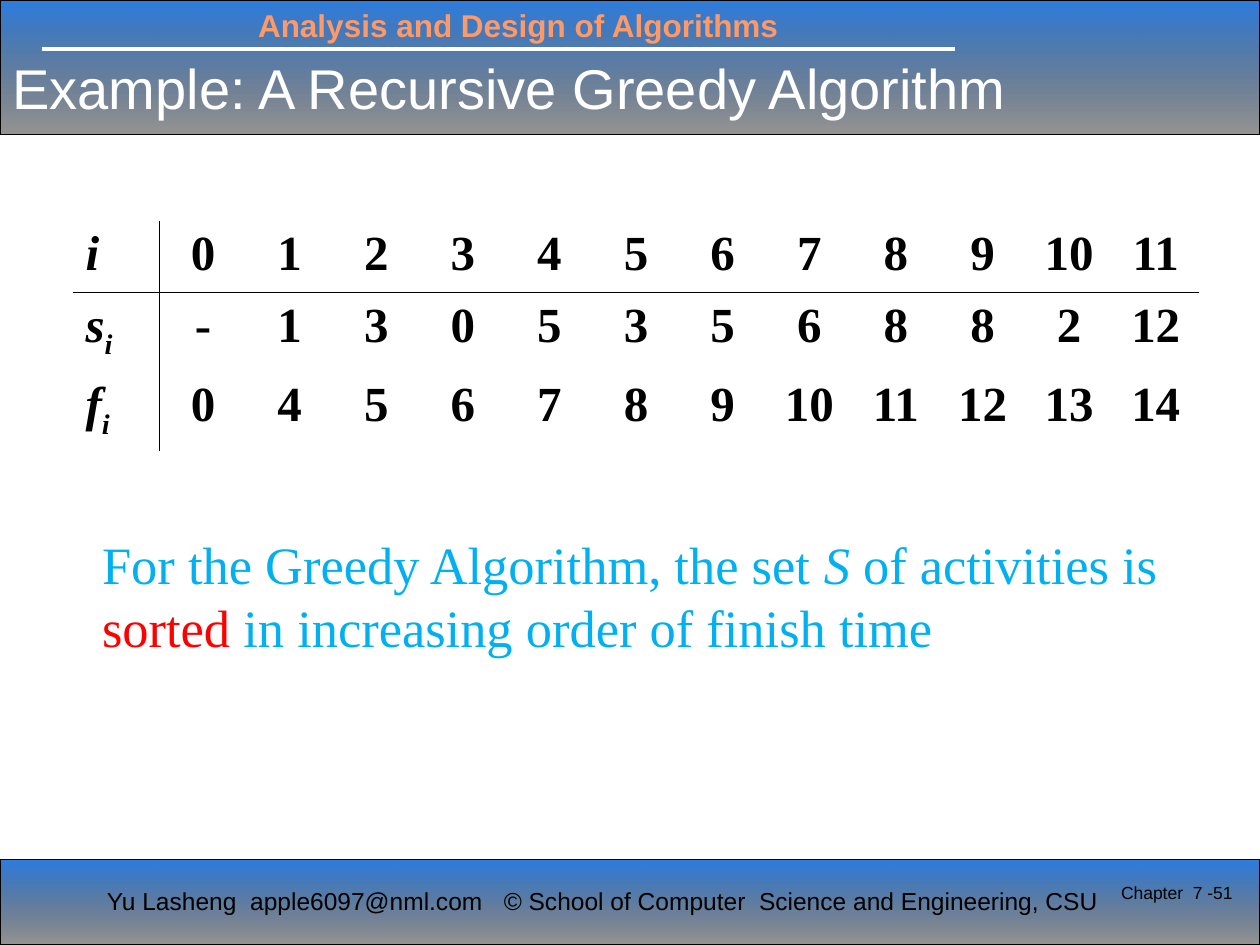
"""Build the slide with the activity table for the recursive greedy algorithm."""
from dataclasses import dataclass

from lxml.etree import SubElement
from pptx import Presentation
from pptx.dml.color import RGBColor
from pptx.enum.shapes import MSO_CONNECTOR, MSO_SHAPE
from pptx.enum.text import MSO_ANCHOR, PP_ALIGN
from pptx.oxml.ns import qn
from pptx.util import Inches, Pt


@dataclass(frozen=True)
class Theme:
    sans: str = "Arial"
    serif: str = "Times New Roman"
    black: str = "000000"
    white: str = "FFFFFF"
    blue: str = "0E6BDC"
    orange: str = "FF9966"
    sky: str = "00B0F0"
    red: str = "FF0000"
    title: int = 32
    body: int = 30
    cell: int = 28
    course: int = 18
    footer: int = 14
    number: int = 10


theme = Theme()


def add_text(para, text, font=theme.sans, size=theme.footer, color=theme.black,
             bold=False, italic=False, subscript=False):
    span = para.add_run()
    span.text = text
    span.font.name = font
    span.font.size = Pt(size)
    span.font.color.rgb = RGBColor.from_string(color)
    span.font.bold = bold
    span.font.italic = italic
    if subscript:
        span.font._element.set("baseline", "-25000")


def add_box(left, top, width, height, wrap=True):
    frame = page.shapes.add_textbox(Inches(left), Inches(top), Inches(width), Inches(height)).text_frame
    frame.word_wrap = wrap
    return frame


deck = Presentation()
deck.slide_width, deck.slide_height = Inches(10), Inches(7.5)
page = deck.slides.add_slide(deck.slide_layouts[6])

for top, height in ((0, 1.07), (6.82, 0.68)):
    band = page.shapes.add_shape(MSO_SHAPE.RECTANGLE, 0, Inches(top), Inches(10), Inches(height))
    band.shadow.inherit = False
    band.line.color.rgb = RGBColor.from_string(theme.black)
    band.line.width = Pt(0.75)
    band.fill.gradient()
    band.fill.gradient_angle = 270
    for stop, color in zip(band.fill.gradient_stops, (theme.blue, theme.black)):
        stop.color.rgb = RGBColor.from_string(color)
    for tint, opacity in zip(band._element.spPr.find(qn("a:gradFill")).iter(qn("a:srgbClr")), (88, 41)):
        SubElement(tint, qn("a:alpha"), val=str(opacity * 1000))

rule = page.shapes.add_connector(MSO_CONNECTOR.STRAIGHT, Inches(0.33), Inches(0.39), Inches(7.58), Inches(0.39))
rule.line.color.rgb = RGBColor.from_string(theme.white)
rule.line.width = Pt(2.25)
SubElement(rule._element.spPr, qn("a:effectLst"))

course = add_box(1.95, 0, 5, 0.4)
add_text(course.paragraphs[0], "Analysis and Design of Algorithms", size=theme.course, color=theme.orange, bold=True)

author = add_box(0.75, 6.98, 3.21, 0.57, wrap=False)
add_text(author.paragraphs[0], "Yu Lasheng  apple6097@nml.com")

school = add_box(3.9, 6.98, 5.12, 0.34, wrap=False)
add_text(school.paragraphs[0], "© School of Computer  Science and Engineering, CSU")

title = add_box(0, 0.36, 9.83, 0.67)
title.vertical_anchor = MSO_ANCHOR.MIDDLE
add_text(title.paragraphs[0], "Example: A Recursive Greedy Algorithm", size=theme.title, color=theme.white)

activities = (
    ("i", "", range(12)),
    ("s", "i", ("-", 1, 3, 0, 5, 3, 5, 6, 8, 8, 2, 12)),
    ("f", "i", (0, *range(4, 15))),
)
table = page.shapes.add_table(3, 13, Inches(0.58), Inches(1.75), Inches(8.94), Inches(1.72)).table
table.first_row = table.horz_banding = False
for row, height in zip(table.rows, (0.57, 0.58, 0.57)):
    row.height = Inches(height)

for row, (symbol, index, values) in enumerate(activities):
    for column, value in enumerate((symbol, *values)):
        cell = table.cell(row, column)
        para = cell.text_frame.paragraphs[0]
        heading = column == 0
        add_text(para, str(value), font=theme.serif, size=theme.cell, bold=True, italic=heading)
        if heading and index:
            add_text(para, index, font=theme.serif, size=theme.cell, bold=True, italic=True, subscript=True)
        if not heading:
            para.alignment = PP_ALIGN.CENTER
        borders = {"lnL": column == 1, "lnR": heading, "lnT": row == 1, "lnB": row == 0}
        for side, drawn in borders.items():
            edge = SubElement(cell._tc.get_or_add_tcPr(), qn(f"a:{side}"), w=str(Pt(1)))
            if drawn:
                paint = SubElement(edge, qn("a:solidFill"))
                SubElement(paint, qn("a:srgbClr"), val=theme.black)
            else:
                SubElement(edge, qn("a:noFill"))
        cell.fill.background()

statement = add_box(0.33, 4.17, 9.42, 2.33)
statement.margin_left = Inches(0.48)
para = statement.paragraphs[0]
para.space_before = Pt(6)
for text, color, italic in (
    ("For the Greedy Algorithm, the set ", theme.sky, False),
    ("S", theme.sky, True),
    (" of activities is ", theme.sky, False),
    ("sorted", theme.red, False),
    (" in increasing order of finish time", theme.sky, False),
):
    add_text(para, text, font=theme.serif, size=theme.body, color=color, italic=italic)

chapter = add_box(8.62, 6.95, 1.26, 0.5)
chapter.paragraphs[0].alignment = PP_ALIGN.RIGHT
add_text(chapter.paragraphs[0], "Chapter  7 -51", size=theme.number)

deck.save("out.pptx")
